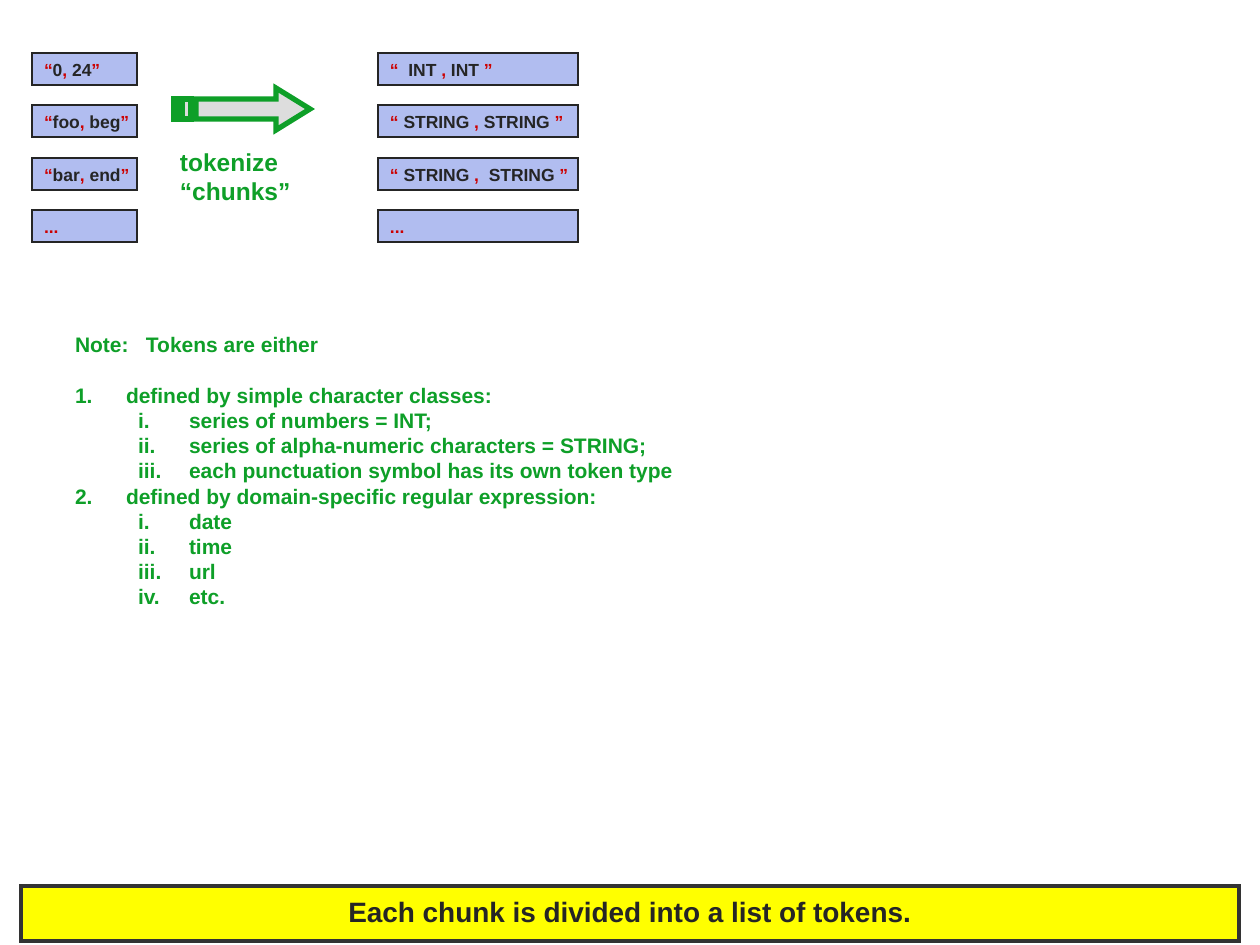
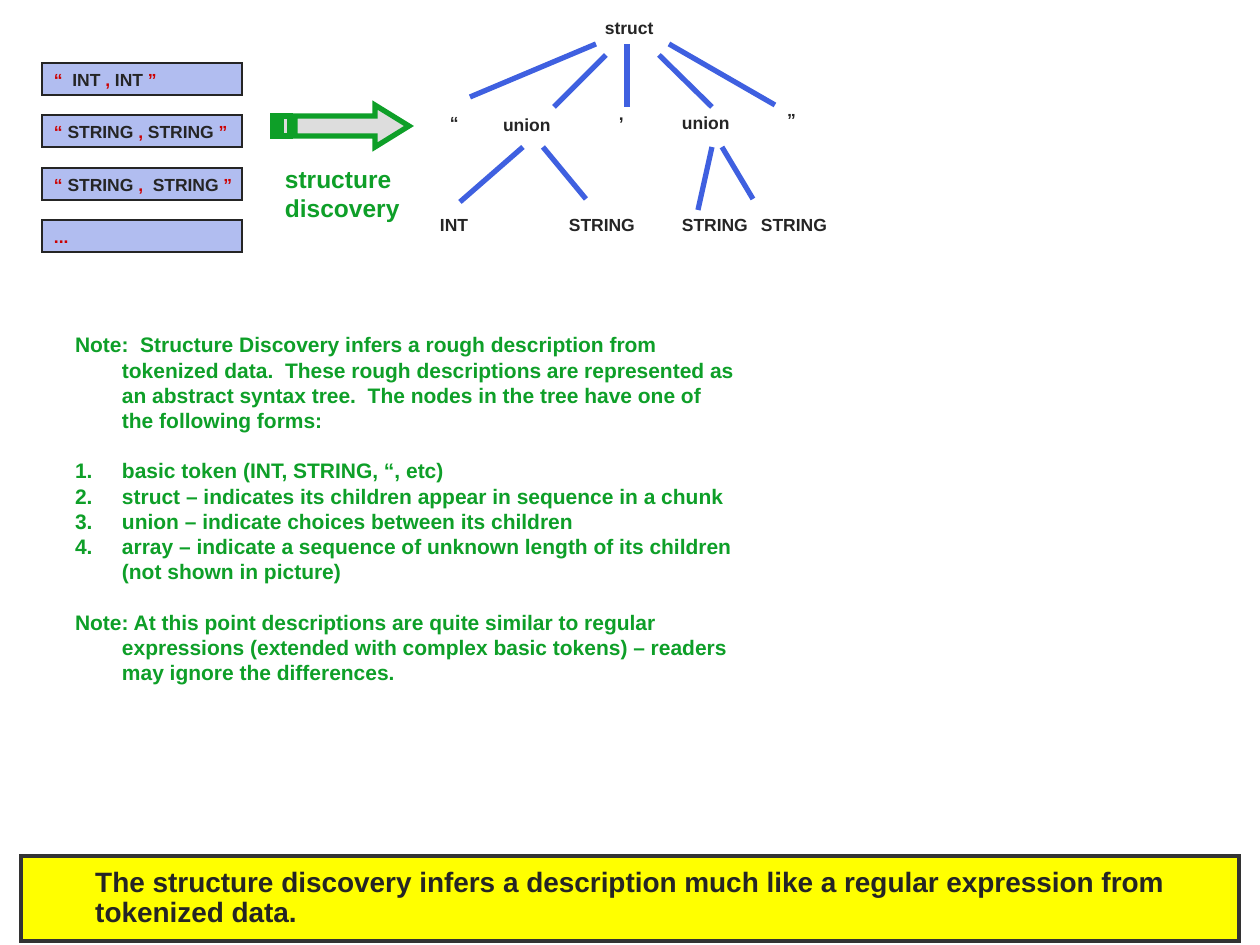
from dataclasses import dataclass

from lxml import etree
from pptx import Presentation
from pptx.dml.color import RGBColor
from pptx.enum.shapes import MSO_CONNECTOR, MSO_SHAPE
from pptx.enum.text import MSO_ANCHOR, MSO_AUTO_SIZE, PP_ALIGN
from pptx.oxml.ns import qn
from pptx.util import Pt

RECTANGLE = MSO_SHAPE.RECTANGLE
STRAIGHT = MSO_CONNECTOR.STRAIGHT
TOP, BOTTOM = MSO_ANCHOR.TOP, MSO_ANCHOR.BOTTOM
FIT_SHAPE = MSO_AUTO_SIZE.SHAPE_TO_FIT_TEXT
LEFT = PP_ALIGN.LEFT
PIXEL = 914400 // 126


@dataclass(frozen=True)
class Theme:
    font: str = "Arial"
    dark: str = "252525"
    red: str = "CC0000"
    green: str = "0E9F28"
    blue: str = "3F60E0"
    chunk: str = "B1BDF0"
    arrow: str = "DDDDDD"
    banner: str = "FFFF00"
    banner_edge: str = "333333"
    small: int = 10
    note: int = 12
    label: int = 14
    heading: int = 16
    note_gap: float = 14.4


theme = Theme()


def paint(shape, fill, edge, edge_width):
    """Flat fill and a sharp-cornered outline."""
    shape.shadow.inherit = False
    shape.fill.solid()
    shape.fill.fore_color.rgb = RGBColor.from_string(fill)
    shape.line.color.rgb = RGBColor.from_string(edge)
    shape.line.width = Pt(edge_width)
    etree.SubElement(shape.element.spPr.find(qn("a:ln")), qn("a:miter"), lim="800000")


def add_text(slide, box, paragraphs, size=theme.small, colors=(theme.dark,), fill=None,
             edge=None, edge_width=1, wrap=False, anchor=TOP, centered_block=False,
             insets=(12, 6), hanging=0, line_spacing=None, space_before=0):
    """Paragraphs are (text, numbering, level, gap before); "|" switches the run colour."""
    box = [length * PIXEL for length in box]
    if fill:
        shape = slide.shapes.add_shape(RECTANGLE, *box)
        paint(shape, fill, edge, edge_width)
    else:
        shape = slide.shapes.add_textbox(*box)
    frame = shape.text_frame
    if not fill:
        frame.auto_size = FIT_SHAPE
    frame.word_wrap = wrap
    frame.vertical_anchor = anchor
    frame.margin_left = frame.margin_right = insets[0] * PIXEL
    frame.margin_top = frame.margin_bottom = insets[1] * PIXEL
    if centered_block:
        shape.element.txBody.find(qn("a:bodyPr")).set("anchorCtr", "1")

    for index, (text, numbering, level, gap) in enumerate(paragraphs):
        paragraph = frame.paragraphs[0] if index == 0 else frame.add_paragraph()
        paragraph.alignment = LEFT
        paragraph.level = level
        if line_spacing:
            paragraph.line_spacing = line_spacing
        if gap or space_before:
            paragraph.space_before = Pt(gap or space_before)
        for part, words in enumerate(text.split("|")):
            run = paragraph.add_run()
            run.text = words
            run.font.name = theme.font
            run.font.size = Pt(size)
            run.font.bold = True
            run.font.color.rgb = RGBColor.from_string(colors[part % len(colors)])
        properties = paragraph._p.get_or_add_pPr()
        if hanging:
            # A tab jumps to the hanging indent, which must clear the word before it
            indent = 71 if "\t" in text else hanging
            properties.set("marL", str((indent + 63 * level) * PIXEL))
            properties.set("indent", str(-indent * PIXEL))
        if numbering:
            bullet_color = etree.SubElement(properties, qn("a:buClr"))
            etree.SubElement(bullet_color, qn("a:srgbClr"), val=colors[0])
            etree.SubElement(properties, qn("a:buFont"), typeface=theme.font)
            etree.SubElement(properties, qn("a:buAutoNum"), type=numbering)


def plain(*lines):
    return [(line, None, 0, 0) for line in lines]


# Content of the slides
NUMBER, ROMAN = "arabicPeriod", "romanLcPeriod"
GAP = theme.note_gap

chunks = ["“|0|, |24|”", "“|foo|,| beg|”", "“|bar|,| end|”", "..."]
tokens = ["“|  INT |, |INT |”", "“| STRING |,| STRING |”", "“| STRING |,|  STRING |”", "..."]

token_notes = [
    ("Note:\tTokens are either", None, 0, 0),
    ("defined by simple character classes:", NUMBER, 0, GAP),
    ("series of numbers = INT;", ROMAN, 1, 0),
    ("series of alpha-numeric characters = STRING;", ROMAN, 1, 0),
    ("each punctuation symbol has its own token type", ROMAN, 1, 0),
    ("defined by domain-specific regular expression:", NUMBER, 0, 0),
    ("date", ROMAN, 1, 0),
    ("time", ROMAN, 1, 0),
    ("url", ROMAN, 1, 0),
    ("etc.", ROMAN, 1, 0),
]
structure_notes = [
    ("Note:  Structure Discovery infers a rough description from tokenized data.  "
     "These rough descriptions are represented as an abstract syntax tree.  "
     "The nodes in the tree have one of the following forms:", None, 0, 0),
    ("basic token (INT, STRING, “, etc)", NUMBER, 0, GAP),
    ("struct – indicates its children appear in sequence in a chunk", NUMBER, 0, 0),
    ("union – indicate choices between its children", NUMBER, 0, 0),
    ("array – indicate a sequence of unknown length of its children "
     "(not shown in picture)", NUMBER, 0, 0),
    ("Note: At this point descriptions are quite similar to regular expressions "
     "(extended with complex basic tokens) – readers may ignore the differences.",
     None, 0, GAP),
]

# Tree labels are (text, left, top, width); branches are (from x, from y, to x, to y)
tree_labels = [
    ("struct", 593, 11, 73),
    ("“", 438, 106, 34), ("union", 491, 108, 72), (",", 607, 97, 30),
    ("union", 670, 106, 72), ("”", 775, 103, 34),
    ("INT", 428, 208, 53), ("STRING", 557, 208, 91),
    ("STRING", 670, 208, 91), ("STRING", 749, 208, 91),
]
tree_branches = [
    (596, 44, 470, 97), (606, 55, 554, 107), (627, 44, 627, 107),
    (659, 55, 712, 107), (669, 44, 775, 105),
    (523, 147, 460, 202), (543, 147, 586, 199),
    (712, 147, 698, 210), (722, 147, 753, 199),
]

# Striped arrow, relative to its top left corner
arrow_contours = [
    [(22, 11), (102, 11), (102, 0), (136, 21), (102, 42), (102, 31), (22, 31)],
    [(0, 11), (4, 11), (4, 31), (0, 31)],
    [(8, 11), (17, 11), (17, 31), (8, 31)],
]

pages = [
    dict(
        columns=[(32, 53, 105, chunks), (378, 53, 200, tokens)],
        arrow=(174, 88),
        label=((168, 141, 136, 72), ["tokenize", "“chunks”"]),
        notes=((63, 326, 703, 315), 51, token_notes),
        banner=(886, "Each chunk is divided into a list of tokens."),
        labels=[], branches=[],
    ),
    dict(
        columns=[(42, 63, 200, tokens)],
        arrow=(273, 105),
        label=((273, 158, 140, 72), ["structure", "discovery"]),
        notes=((63, 326, 686, 391), 47, structure_notes),
        banner=(856, "The structure discovery infers a description much like "
                     "a regular expression from tokenized data."),
        labels=tree_labels, branches=tree_branches,
    ),
]

presentation = Presentation()
presentation.slide_width = 1260 * PIXEL
presentation.slide_height = 945 * PIXEL

for page in pages:
    slide = presentation.slides.add_slide(presentation.slide_layouts[6])

    # Banner, with its lower edge at a fixed height
    banner_top, message = page["banner"]
    add_text(slide, (21, banner_top, 1218, 941 - banner_top), plain(message),
             size=theme.heading, fill=theme.banner, edge=theme.banner_edge, edge_width=2.5,
             wrap=True, anchor=BOTTOM, centered_block=True, insets=(38, 12),
             line_spacing=0.9, space_before=4)

    # Columns of chunk boxes
    for left, top, width, texts in page["columns"]:
        for row, text in enumerate(texts):
            add_text(slide, (left, top + row * 105 // 2, width, 32), plain(text),
                     colors=(theme.red, theme.dark), fill=theme.chunk, edge=theme.dark)

    # Arrow and its label
    builder = slide.shapes.build_freeform(*arrow_contours[0][0], scale=PIXEL)
    for index, contour in enumerate(arrow_contours):
        if index:
            builder.move_to(*contour[0])
        builder.add_line_segments(contour[1:], close=True)
    arrow = builder.convert_to_shape(*(length * PIXEL for length in page["arrow"]))
    paint(arrow, theme.arrow, theme.green, 3)
    label_box, label_lines = page["label"]
    add_text(slide, label_box, plain(*label_lines), size=theme.label, colors=(theme.green,))

    # Syntax tree
    for branch in page["branches"]:
        connector = slide.shapes.add_connector(STRAIGHT, *(length * PIXEL for length in branch))
        connector.line.color.rgb = RGBColor.from_string(theme.blue)
        connector.line.width = Pt(3)
        etree.SubElement(connector.element.spPr, qn("a:effectLst"))
    for text, left, top, width in page["labels"]:
        add_text(slide, (left, top, width, 34), plain(text))

    # Notes
    notes_box, hanging, notes = page["notes"]
    add_text(slide, notes_box, notes, size=theme.note, colors=(theme.green,),
             wrap=True, hanging=hanging)

presentation.save("out.pptx")
